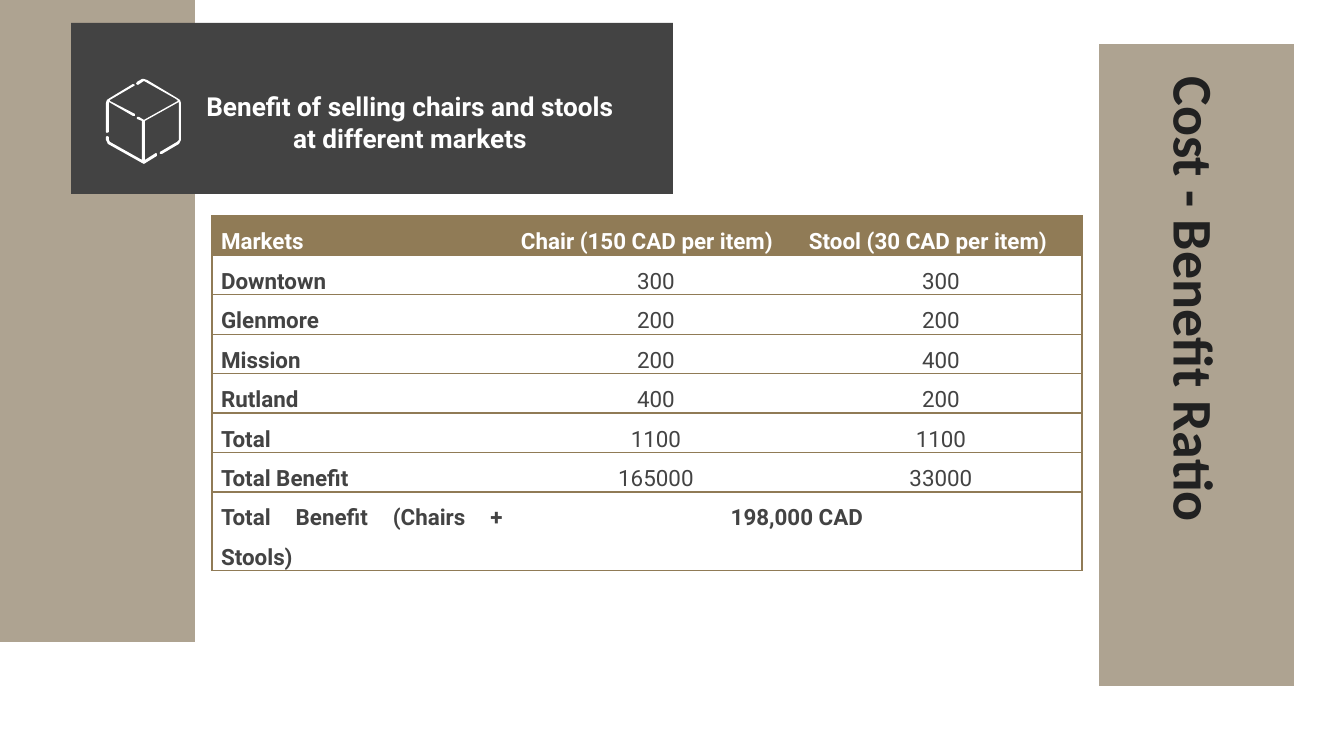
from lxml.etree import SubElement
from pptx import Presentation
from pptx.dml.color import RGBColor
from pptx.enum.shapes import MSO_SHAPE
from pptx.enum.text import MSO_ANCHOR, MSO_AUTO_SIZE, PP_ALIGN
from pptx.oxml.ns import qn
from pptx.util import Pt

EMU_PER_PX = 914400 / 134.4
PAGE_WIDTH, PAGE_HEIGHT = 1344, 756

TAUPE = RGBColor(0x90, 0x82, 0x69)
BRONZE = RGBColor(0x90, 0x7B, 0x56)
CHARCOAL = RGBColor(0x43, 0x43, 0x43)
INK = RGBColor(0x21, 0x21, 0x21)
WHITE = RGBColor(0xFF, 0xFF, 0xFF)

CUBE_BODY = [
    (142, 79), (137, 82), (136, 84), (138, 85), (144, 81), (176, 99),
    (178, 101), (144, 120), (139, 117), (137, 117), (137, 119), (142, 121),
    (142, 160), (110, 142), (109, 140), (109, 137), (107, 136), (106, 137),
    (106, 140), (108, 144), (142, 163), (144, 164), (157, 156), (157, 154),
    (156, 153), (145, 160), (145, 121), (179, 102), (179, 140), (177, 142),
    (160, 152), (160, 154), (162, 154), (179, 144), (181, 140), (181, 103),
    (180, 100), (177, 98), (147, 80), (144, 79),
]
CUBE_LEFT_EDGE = [
    (133, 84), (110, 98), (107, 100), (106, 103), (106, 132), (107, 133),
    (109, 132), (109, 102), (133, 116), (135, 116), (135, 114), (110, 101),
    (110, 100), (134, 86), (135, 85),
]

COLUMN_WIDTHS = [300, 288, 282]
ROW_HEIGHTS = [31] * 7 + [4]
MARKET_ROWS = [
    ["Markets", "Chair (150 CAD per item)", "Stool (30 CAD per item)"],
    ["Downtown", "300", "300"],
    ["Glenmore", "200", "200"],
    ["Mission", "200", "400"],
    ["Rutland", "400", "200"],
    ["Total", "1100", "1100"],
    ["Total Benefit", "165000", "33000"],
    ["Total Benefit (Chairs + Stools)", "198,000 CAD", ""],
]


def px(length):
    return round(length * EMU_PER_PX)


def apply(target, values):
    for name, value in values.items():
        setattr(target, name, value)


class SlideBuilder:
    """Holds the text style and the slide being filled."""

    font_name = "Roboto"

    def __init__(self, page):
        self.page = page

    def add_text(self, frame, text, size, color, bold, font_name=None, **layout):
        paragraph = frame.paragraphs[0]
        apply(paragraph, {"space_before": Pt(0), **layout})
        span = paragraph.add_run()
        span.text = text
        apply(span.font, {"name": font_name or self.font_name,
                          "size": Pt(size), "bold": bold})
        span.font.color.rgb = color

    def paint(self, shape, color):
        shape.shadow.inherit = False
        shape.fill.solid()
        shape.fill.fore_color.rgb = color
        shape.line.fill.background()

    def panel(self, left, top, width, height, color, opacity=100):
        shape = self.page.shapes.add_shape(
            MSO_SHAPE.RECTANGLE, px(left), px(top), px(width), px(height))
        self.paint(shape, color)
        if opacity < 100:
            srgb = next(shape.element.spPr.iter(qn("a:srgbClr")))
            SubElement(srgb, qn("a:alpha"), val=str(opacity * 1000))

    def outline(self, points, color):
        builder = self.page.shapes.build_freeform(*points[0], scale=EMU_PER_PX)
        builder.add_line_segments(points[1:], close=True)
        self.paint(builder.convert_to_shape(), color)

    def placeholder(self, index, left, top, width, height, text, size, color,
                    align, font_name=None, rotation=0):
        """Moves a placeholder, brings it to the front and fills it."""
        box = self.page.placeholders[index]
        apply(box, {"left": px(left), "top": px(top), "width": px(width),
                    "height": px(height), "rotation": rotation})
        self.page.shapes.element.append(box.element)
        frame = box.text_frame
        margins = {f"margin_{side}": px(13)
                   for side in ("left", "right", "top", "bottom")}
        apply(frame, {"word_wrap": True, "auto_size": MSO_AUTO_SIZE.NONE,
                      "vertical_anchor": MSO_ANCHOR.MIDDLE, **margins})
        self.add_text(frame, text, size, color, True, font_name,
                      alignment=align, line_spacing=1.0)

    def borders(self, cell, visible):
        properties = cell._tc.get_or_add_tcPr()
        for side in "LRTB":
            line = SubElement(properties, qn(f"a:ln{side}"), w=str(Pt(0.75)))
            if side in visible:
                fill = SubElement(line, qn("a:solidFill"))
                SubElement(fill, qn("a:srgbClr"), val=str(BRONZE))
            else:
                SubElement(line, qn("a:noFill"))

    def table(self, left, top, widths, heights, rows):
        table = self.page.shapes.add_table(
            len(rows), len(widths), px(left), px(top),
            px(sum(widths)), px(sum(heights))).table
        apply(table, {"first_row": False, "horz_banding": False})
        for column, width in zip(table.columns, widths):
            column.width = px(width)
        for row, height in zip(table.rows, heights):
            row.height = px(height)
        last_row, last_column = len(rows) - 1, len(widths) - 1
        table.cell(last_row, 1).merge(table.cell(last_row, last_column))
        for r, texts in enumerate(rows):
            for c, text in enumerate(texts):
                self.cell(table.cell(r, c), text, is_header=r == 0,
                          is_label=c == 0, is_last=r == last_row,
                          at_right=c == last_column)

    def cell(self, cell, text, is_header, is_label, is_last, at_right):
        apply(cell, {"margin_left": px(9), "margin_right": px(9),
                     "margin_top": 0, "margin_bottom": 0})
        sides = "TB" + ("L" if is_label else "")
        self.borders(cell, sides + ("R" if at_right or cell.is_merge_origin else ""))
        if is_header:
            cell.fill.solid()
            cell.fill.fore_color.rgb = BRONZE
        else:
            cell.fill.background()
        if cell.is_spanned:
            return
        justified = is_header or is_label
        self.add_text(cell.text_frame, text, 12, WHITE if is_header else CHARCOAL,
                      justified or is_last, line_spacing=1.5,
                      alignment=PP_ALIGN.JUSTIFY if justified else PP_ALIGN.CENTER,
                      space_after=Pt(0 if is_last else 8))


def main():
    deck = Presentation()
    apply(deck, {"slide_width": px(PAGE_WIDTH), "slide_height": px(PAGE_HEIGHT)})
    slide = SlideBuilder(deck.slides.add_slide(deck.slide_layouts[0]))

    slide.panel(1099, 44, 195, 642, TAUPE, opacity=73)
    slide.panel(0, 0, 195, 642, TAUPE, opacity=73)
    slide.panel(71, 23, 602, 171, CHARCOAL)
    slide.placeholder(0, 914, 310, 564, 71, "Cost - Benefit Ratio", 30, INK,
                      PP_ALIGN.LEFT, font_name="Calibri", rotation=90)
    for points in (CUBE_BODY, CUBE_LEFT_EDGE):
        slide.outline(points, WHITE)
    slide.placeholder(1, 181, 58, 458, 128,
                      "Benefit of selling chairs and stools at different markets",
                      14, WHITE, PP_ALIGN.CENTER)
    slide.table(212, 216, COLUMN_WIDTHS, ROW_HEIGHTS, MARKET_ROWS)
    deck.save("out.pptx")


if __name__ == "__main__":
    main()
